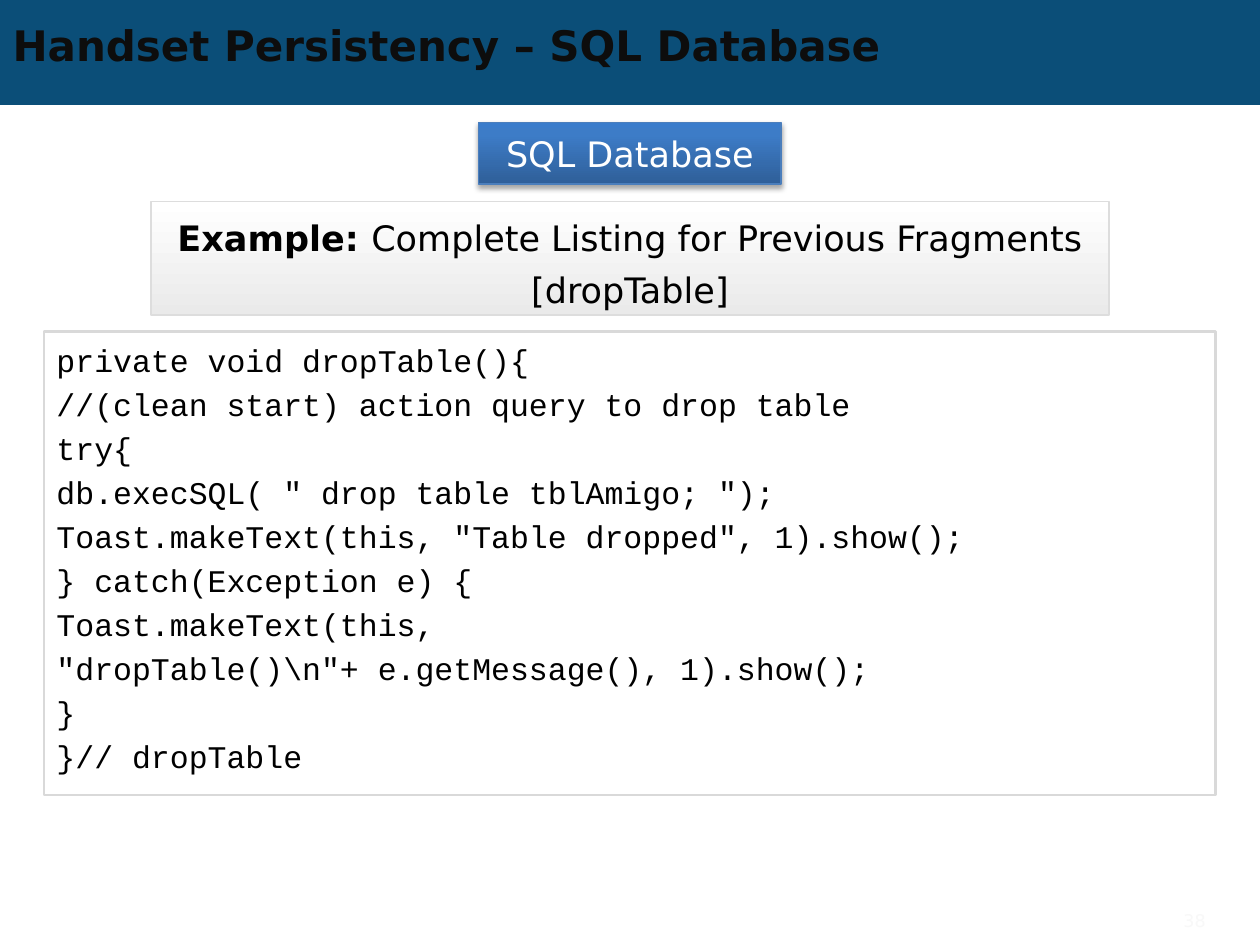
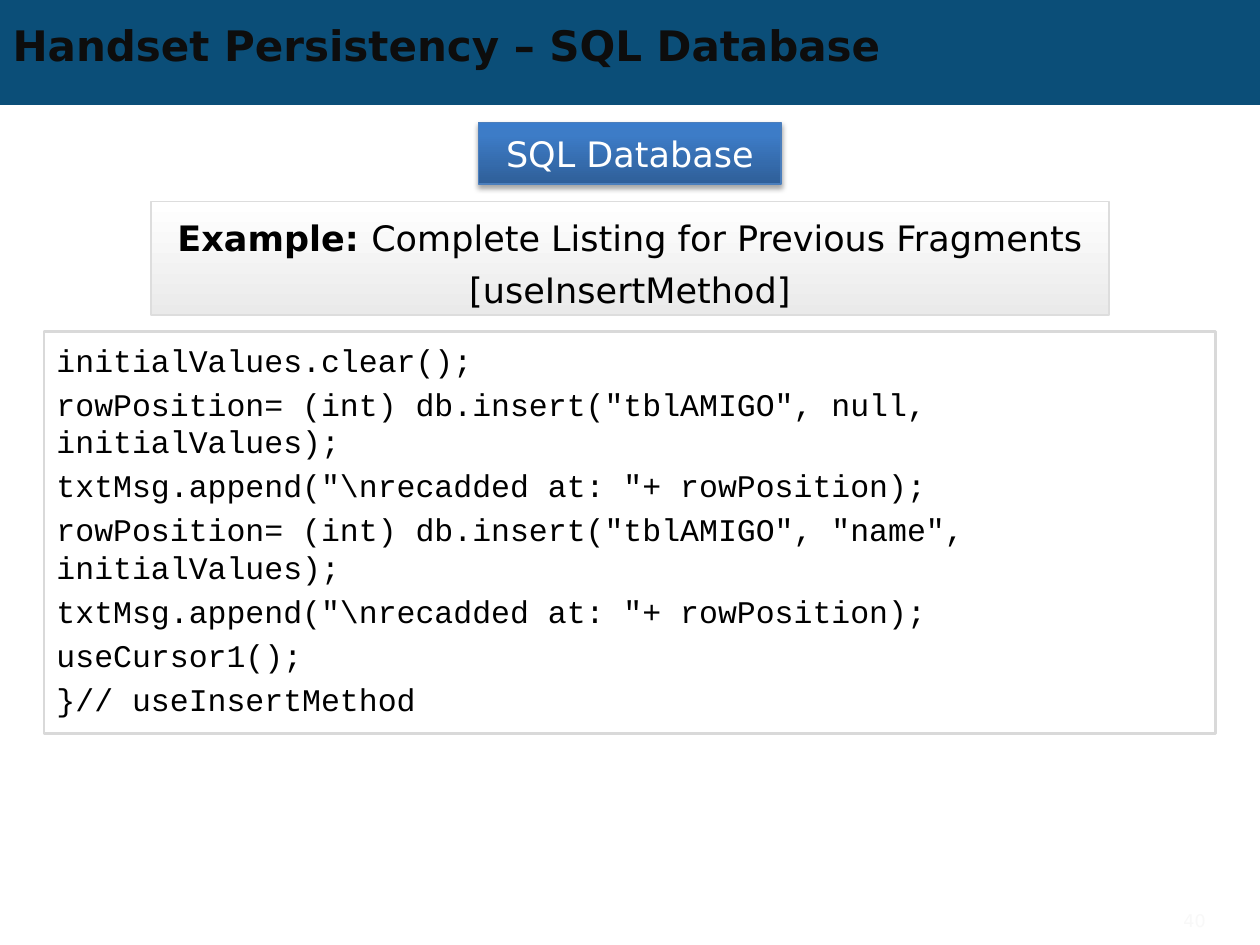
from lxml import etree
from pptx import Presentation
from pptx.dml.color import RGBColor
from pptx.enum import shapes, text
from pptx.oxml import ns
from pptx.util import Pt

# Shared style
BAND_BLUE = RGBColor(0x0B, 0x4E, 0x78)
TITLE_INK = RGBColor(0x0D, 0x0D, 0x0D)
BLACK = RGBColor(0, 0, 0)
WHITE = RGBColor(0xFF, 0xFF, 0xFF)
TOPIC_DARK = RGBColor(0x2F, 0x5F, 0x99)
TOPIC_MID = RGBColor(0x3D, 0x7C, 0xC7)
TOPIC_LIGHT = RGBColor(0x3A, 0x7C, 0xCB)
TOPIC_LINE = RGBColor(0x4B, 0x7E, 0xBC)
EXAMPLE_GREY = RGBColor(0xEA, 0xEA, 0xEA)
EXAMPLE_LINE = RGBColor(0xDD, 0xDD, 0xDD)
CODE_LINE = RGBColor(0xD9, 0xD9, 0xD9)
NUMBER_GREY = RGBColor(0xF8, 0xF8, 0xF8)
SANS, MONO = "DejaVu Sans", "Courier New"
SLIDE_WIDTH, SLIDE_HEIGHT = 720, 540

# Boxes: left, top, width, height in points
BAND_BOX = (0, 0, SLIDE_WIDTH, 60)
TITLE_BOX = (0, 10.08, 648, 30.96)
TOPIC_BOX = (273.6, 69.84, 172.8, 35.28)
EXAMPLE_BOX = (86.4, 115.2, 547.2, 64.8)
CODE_LEFT, CODE_TOP, CODE_WIDTH = 25.2, 189.36, 669.6
NUMBER_BOX = (636, 516, 60, 20)

LISTINGS = [
    ("dropTable", "38", 264.96, [
        'private void dropTable(){',
        '//(clean start) action query to drop table',
        'try{',
        'db.execSQL( " drop table tblAmigo; ");',
        'Toast.makeText(this, "Table dropped", 1).show();',
        '} catch(Exception e) {',
        'Toast.makeText(this,',
        r'"dropTable()\n"+ e.getMessage(), 1).show();',
        '}',
        '}// dropTable',
    ]),
    ("useInsertMethod", "40", 229.68, [
        'initialValues.clear();',
        'rowPosition= (int) db.insert("tblAMIGO", null, initialValues);',
        r'txtMsg.append("\nrecadded at: "+ rowPosition);',
        'rowPosition= (int) db.insert("tblAMIGO", "name", initialValues);',
        r'txtMsg.append("\nrecadded at: "+ rowPosition);',
        'useCursor1();',
        '}// useInsertMethod',
    ]),
]


def points(box):
    return [Pt(length) for length in box]


def write(shape, lines, size, color=BLACK, font=SANS, align=text.PP_ALIGN.LEFT,
          anchor=text.MSO_ANCHOR.MIDDLE, spacing=None, before=0):
    """Each line is a list of (words, bold) runs."""
    frame = shape.text_frame
    frame.word_wrap = True
    frame.auto_size = text.MSO_AUTO_SIZE.NONE
    frame.vertical_anchor = anchor
    for index, runs in enumerate(lines):
        paragraph = frame.add_paragraph() if index else frame.paragraphs[0]
        paragraph.alignment = align
        paragraph.space_before = Pt(before if index else 0)
        if spacing:
            paragraph.line_spacing = Pt(spacing)
        for words, bold in runs:
            run = paragraph.add_run()
            run.text = words
            run.font.name, run.font.size, run.font.bold = font, Pt(size), bold
            run.font.color.rgb = color


def add_box(slide, box, line=None, line_width=1):
    shape = slide.shapes.add_shape(shapes.MSO_SHAPE.RECTANGLE, *points(box))
    shape.shadow.inherit = False
    shape.fill.background()
    if line is None:
        shape.line.fill.background()
    else:
        shape.line.color.rgb = line
        shape.line.width = Pt(line_width)
    return shape


def set_gradient(shape, stops, angle):
    shape.fill.gradient()
    gradient = shape.element.spPr.find(ns.qn("a:gradFill"))
    stop_list = gradient.find(ns.qn("a:gsLst"))
    for stop in list(stop_list):
        stop_list.remove(stop)
    for position, color in stops:
        stop = etree.SubElement(stop_list, ns.qn("a:gs"), pos=str(position * 1000))
        etree.SubElement(stop, ns.qn("a:srgbClr"), val=str(color))
    gradient.find(ns.qn("a:lin")).set("ang", str(angle * 60000))


def set_shadow(shape, blur, distance, opacity):
    effects = shape.element.spPr.find(ns.qn("a:effectLst"))
    shadow = etree.SubElement(effects, ns.qn("a:outerShdw"), blurRad=str(Pt(blur)),
                              dist=str(Pt(distance)), dir="5400000", rotWithShape="0")
    color = etree.SubElement(shadow, ns.qn("a:srgbClr"), val=str(BLACK))
    etree.SubElement(color, ns.qn("a:alpha"), val=str(opacity * 1000))


def move_band_to_layout(slide, layout):
    # The band lies behind the title of every slide
    band = add_box(slide, BAND_BOX)
    band.fill.solid()
    band.fill.fore_color.rgb = BAND_BLUE
    band.element.nvSpPr.cNvPr.set("id", "20")
    layout.shapes.element.insert(2, band.element)


def add_title(slide, box):
    title = slide.shapes.title
    title.left, title.top, title.width, title.height = points(box)
    write(title, [[("Handset Persistency – SQL Database", True)]], 24, TITLE_INK)


def add_topic(slide, box):
    topic = add_box(slide, box, TOPIC_LINE, 0.75)
    set_gradient(topic, [(0, TOPIC_DARK), (80, TOPIC_MID), (100, TOPIC_LIGHT)], 270)
    set_shadow(topic, 3.1, 1.8, 35)
    write(topic, [[("SQL Database", False)]], 20, WHITE, align=text.PP_ALIGN.CENTER)


def add_example(slide, box, method):
    example = add_box(slide, box, EXAMPLE_LINE)
    set_gradient(example, [(0, WHITE), (100, EXAMPLE_GREY)], 90)
    lines = [[("Example: ", True), ("Complete Listing for Previous Fragments", False)],
             [(f"[{method}]", False)]]
    write(example, lines, 20, align=text.PP_ALIGN.CENTER, spacing=30)


def add_code(slide, box, code):
    listing = add_box(slide, box, CODE_LINE, 1.5)
    listing.text_frame.margin_top = Pt(5.5)
    write(listing, [[(line, False)] for line in code], 18, font=MONO,
          anchor=text.MSO_ANCHOR.TOP, spacing=21.4, before=3.75)


def add_number(slide, box, number):
    label = slide.shapes.add_textbox(*points(box))
    write(label, [[(number, False)]], 10, NUMBER_GREY, align=text.PP_ALIGN.RIGHT)


def add_listing_slide(presentation, layout, method, number, code_height, code):
    slide = presentation.slides.add_slide(layout)
    add_title(slide, TITLE_BOX)
    add_topic(slide, TOPIC_BOX)
    add_example(slide, EXAMPLE_BOX, method)
    add_code(slide, (CODE_LEFT, CODE_TOP, CODE_WIDTH, code_height), code)
    add_number(slide, NUMBER_BOX, number)
    return slide


def main():
    presentation = Presentation()
    presentation.slide_width, presentation.slide_height = Pt(SLIDE_WIDTH), Pt(SLIDE_HEIGHT)
    layout = presentation.slide_layouts.get_by_name("Title Only")
    for listing in LISTINGS:
        slide = add_listing_slide(presentation, layout, *listing)
    move_band_to_layout(slide, layout)
    presentation.save("out.pptx")


if __name__ == "__main__":
    main()
